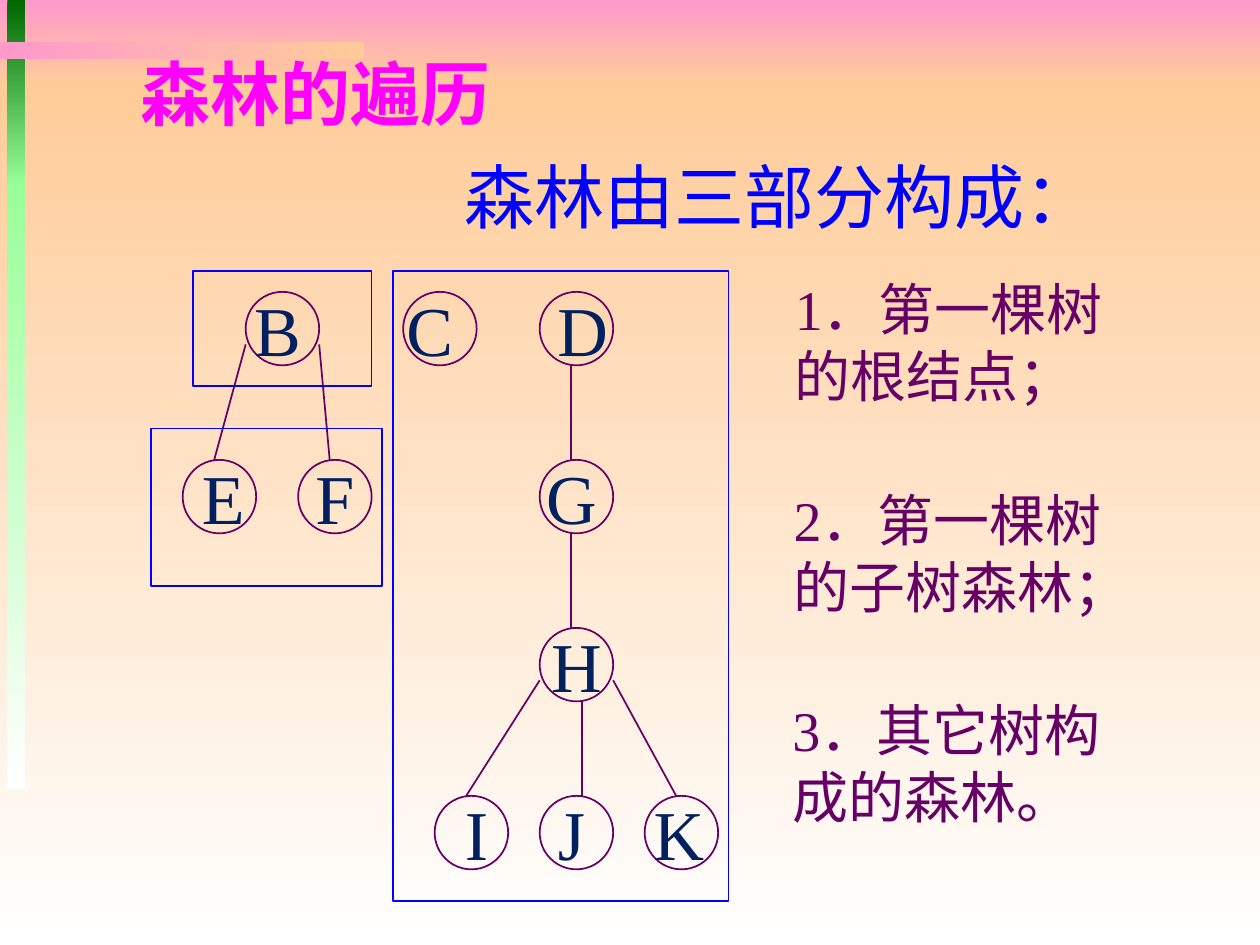
from dataclasses import dataclass
from typing import NamedTuple

from lxml.etree import SubElement
from pptx import Presentation
from pptx.dml.color import RGBColor as Rgb
from pptx.enum.shapes import MSO_CONNECTOR as Link, MSO_SHAPE as Kind
from pptx.enum.text import MSO_ANCHOR as Anchor, PP_ALIGN as Align
from pptx.oxml.ns import qn
from pptx.util import Inches, Pt


@dataclass(frozen=True)
class Theme:
    pink: str = "FF99CC"
    peach: str = "FFCC99"
    white: str = "FFFFFF"
    green: str = "006600"
    mint: str = "99FF99"
    plum: str = "660066"
    navy: str = "002060"
    blue: str = "0000FF"
    title: str = "FF00FF"
    big: int = 40
    small: int = 32
    line: float = 1
    latin: str = "Times New Roman"
    cjk: str = "Noto Sans CJK SC"


class Box(NamedTuple):
    x: float
    y: float
    w: float
    h: float


class Band(NamedTuple):
    box: Box
    start: str
    end: str
    angle: int = 270


class Node(NamedTuple):
    col: int
    row: int
    nudge: float = 0


class Edge(NamedTuple):
    top: str
    low: str
    side: int  # -1 leaves on the left, 0 below, 1 on the right
    end: int = 3


class Words(NamedTuple):
    text: str
    font: str


class Note(NamedTuple):
    box: Box
    words: tuple[Words, ...]
    size: int
    color: str
    bold: bool = False
    wrap: bool = True


T = Theme()
WIDE, HIGH = 10, 7.5
CELL = 1 / 12  # grid cell of the tree, in inches
LEFT, TOP = 0.4 * CELL, 0.8 * CELL
SIZE = 7  # node width in cells
FIRST, STEP = 27, 16  # rows of the tree levels

BANDS = (
    Band(Box(0, 0, 1, 0.09), T.pink, T.peach),
    Band(Box(0, 0.09, 1, 0.91), T.peach, T.white),
    Band(Box(0.006, 0, 0.014, 0.197), T.green, T.mint),
    Band(Box(0.006, 0.195, 0.014, 0.64), T.mint, T.white),
    Band(Box(0, 0.044, 0.289, 0.019), T.pink, T.peach, 0),
)
NODES = {
    "B": Node(23, 0, -0.04), "C": Node(38, 0, -0.08), "D": Node(51, 0, 0.05),
    "E": Node(17, 1, 0.03), "F": Node(28, 1), "G": Node(51, 1, -0.04),
    "H": Node(51, 2), "I": Node(41, 3, 0.04), "J": Node(51, 3, -0.04),
    "K": Node(61, 3, -0.02),
}
EDGES = (
    Edge("B", "E", -1), Edge("B", "F", 1), Edge("D", "G", 0),
    Edge("G", "H", 0), Edge("H", "J", 0, 4), Edge("H", "I", -1),
    Edge("H", "K", 1),
)
FRAMES = (Box(18, 25, 17, 11), Box(14, 40, 22, 15), Box(37, 25, 32, 60))


def item(num: str, text: str, box: Box) -> Note:
    return Note(box, (Words(num, T.latin), Words(text, T.cjk)), T.small, T.plum)


NOTES = (
    item("1", "．第一棵树的根结点；", Box(0.621, 0.284, 0.277, 0.157)),
    item("2", "．第一棵树的子树森林；", Box(0.62, 0.507, 0.301, 0.157)),
    item("3", "．其它树构成的森林。", Box(0.619, 0.729, 0.283, 0.157)),
    Note(Box(0.359, 0.156, 0.52, 0.103),
         (Words("森林由三部分构成：", T.latin),), T.big, T.blue, wrap=False),
    Note(Box(0.102, 0.047, 0.302, 0.103),
         (Words("森林的遍历", T.latin),), T.big, T.title, True, False),
)


def share(box: Box) -> list[int]:
    """Turn shares of the slide into lengths."""
    return [Inches(v * full) for v, full in zip(box, (WIDE, HIGH) * 2)]


def spot(x: float, y: float) -> tuple[int, int]:
    """Place a grid point on the slide."""
    return Inches(LEFT + x * CELL), Inches(TOP + y * CELL)


def write(para, words: Words, size: int, color: str, bold: bool = False) -> None:
    run = para.add_run()
    run.text = words.text
    font = run.font
    font.name, font.size, font.bold = words.font, Pt(size), bold
    font.color.rgb = Rgb.from_string(color)
    SubElement(font._element, qn("a:ea")).set("typeface", T.cjk)


def band(slide, item: Band) -> None:
    shape = slide.shapes.add_shape(Kind.RECTANGLE, *share(item.box))
    shape.shadow.inherit = False
    shape.line.fill.background()
    shape.fill.gradient()
    shape.fill.gradient_angle = item.angle
    for stop, color in zip(shape.fill.gradient_stops, (item.start, item.end)):
        stop.color.rgb = Rgb.from_string(color)


def outline(slide, kind: Kind, box: Box, color: str):
    size = Inches(box.w * CELL), Inches(box.h * CELL)
    shape = slide.shapes.add_shape(kind, *spot(box.x, box.y), *size)
    shape.shadow.inherit = False
    shape.fill.background()
    shape.line.color.rgb = Rgb.from_string(color)
    shape.line.width = Pt(T.line)
    return shape


def level(node: Node) -> int:
    return FIRST + node.row * STEP


def draw(slide, name: str, node: Node) -> None:
    box = Box(node.col, level(node), SIZE, SIZE)
    frame = outline(slide, Kind.OVAL, box, T.plum).text_frame
    frame.word_wrap = False
    frame.vertical_anchor = Anchor.MIDDLE
    frame.margin_top = frame.margin_bottom = 0
    frame.margin_left = Inches(max(0, 2 * node.nudge))
    frame.margin_right = Inches(max(0, -2 * node.nudge))
    para = frame.paragraphs[0]
    para.alignment = Align.CENTER
    write(para, Words(name, T.latin), T.big, T.navy)


def join(slide, edge: Edge) -> None:
    top, low = NODES[edge.top], NODES[edge.low]
    end = low.col + edge.end
    if edge.side:
        start = top.col + (SIZE if edge.side > 0 else 0), level(top) + 5
    else:
        start = end, level(top) + SIZE
    line = slide.shapes.add_connector(
        Link.STRAIGHT, *spot(*start), *spot(end, level(low)))
    line.line.color.rgb = Rgb.from_string(T.plum)
    line.line.width = Pt(T.line)
    SubElement(line._element.spPr, qn("a:effectLst"))


def note(slide, item: Note) -> None:
    frame = slide.shapes.add_textbox(*share(item.box)).text_frame
    frame.word_wrap = item.wrap
    for words in item.words:
        write(frame.paragraphs[0], words, item.size, item.color, item.bold)


def main() -> None:
    deck = Presentation()
    deck.slide_width, deck.slide_height = Inches(WIDE), Inches(HIGH)
    slide = deck.slides.add_slide(deck.slide_layouts[6])
    for item in BANDS:
        band(slide, item)
    for name, node in NODES.items():
        draw(slide, name, node)
    for edge in EDGES:
        join(slide, edge)
    for box in FRAMES:
        outline(slide, Kind.RECTANGLE, box, T.blue)
    for item in NOTES:
        note(slide, item)
    deck.save("out.pptx")


if __name__ == "__main__":
    main()
